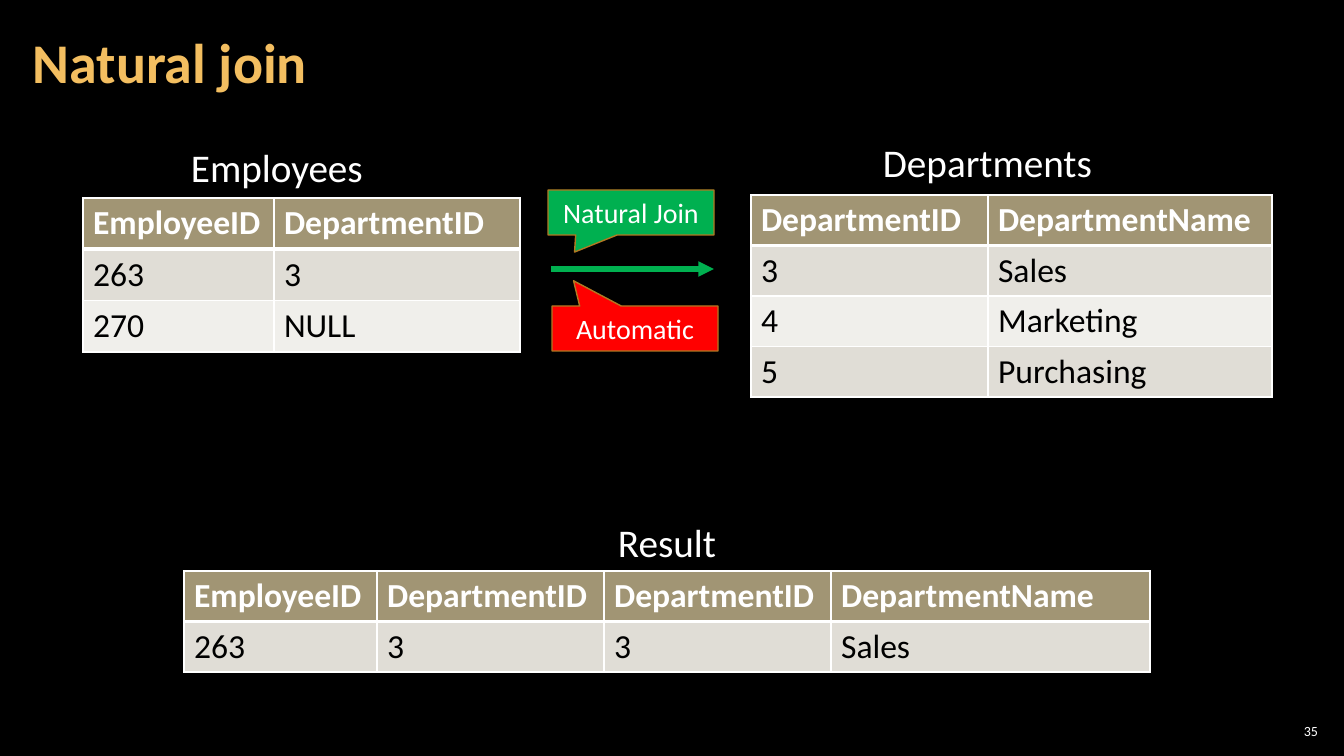
import pptx
import pptx.dml.color
import pptx.enum.shapes
import pptx.enum.text
import pptx.oxml
import pptx.oxml.ns
import pptx.util

RGB = pptx.dml.color.RGBColor
BLACK = RGB(0x00, 0x00, 0x00)
WHITE = RGB(0xFF, 0xFF, 0xFF)
GOLD = RGB(0xF3, 0xBE, 0x60)
HEADER = RGB(0xA1, 0x95, 0x74)
BANDS = (RGB(0xE0, 0xDD, 0xD6), RGB(0xF0, 0xEF, 0xEB))
GREEN = RGB(0x00, 0xB0, 0x50)
RED = RGB(0xFF, 0x00, 0x00)
BRONZE = RGB(0xB2, 0x78, 0x22)
FONT = "Calibri"
ALIGN = pptx.enum.text.PP_ALIGN
ANCHOR = pptx.enum.text.MSO_ANCHOR

TITLE = ("Natural join", (21, 4, 1055, 122))
PAGE_NUMBER = ("35", (1275, 720, 47, 21))
TABLES = [
    {"caption": "Employees", "caption_at": (181, 138, 194, 57),
     "at": (83, 198), "columns": (191, 246), "height": 154,
     "rows": [("EmployeeID", "DepartmentID"), ("263", "3"), ("270", "NULL")]},
    {"caption": "Departments", "caption_at": (873, 133, 232, 57),
     "at": (751, 195), "columns": (237, 284), "height": 202,
     "rows": [("DepartmentID", "DepartmentName"), ("3", "Sales"),
              ("4", "Marketing"), ("5", "Purchasing")]},
    {"caption": "Result", "caption_at": (608, 513, 120, 57),
     "at": (184, 571), "columns": (193, 227, 227, 319), "height": 101,
     "rows": [("EmployeeID", "DepartmentID", "DepartmentID", "DepartmentName"),
              ("263", "3", "3", "Sales")]},
]
CALLOUTS = [
    ("Natural Join", (548, 190, 166, 45), (-0.34, 0.88), GREEN),
    ("Automatic", (552, 306, 166, 45), (-0.37, -1.06), RED),
]
ARROW = (551, 269, 714, 269)


def px(length):
    return round(length * 914400 / 100.8)


def write(frame, text, size, color, bold=False, align=ALIGN.LEFT):
    para = frame.paragraphs[0]
    para.text = text
    para.alignment = align
    para.font.name = FONT
    para.font.size = pptx.util.Pt(size)
    para.font.bold = bold
    para.font.color.rgb = color
    return para


def add_label(page, text, place, size, color, bold=False, align=ALIGN.LEFT,
              wrap=False, anchor=ANCHOR.TOP, insets=(10, 5)):
    frame = page.shapes.add_textbox(*map(px, place)).text_frame
    frame.word_wrap = wrap
    frame.vertical_anchor = anchor
    frame.margin_left = frame.margin_right = px(insets[0])
    frame.margin_top = frame.margin_bottom = px(insets[1])
    return write(frame, text, size, color, bold, align)


def set_borders(cell, row_index):
    widths = {"L": 1, "R": 1, "T": 3 if row_index == 1 else 1,
              "B": 3 if row_index == 0 else 1}
    properties = cell._tc.get_or_add_tcPr()
    for position, (side, width) in enumerate(widths.items()):
        properties.insert(position, pptx.oxml.parse_xml(
            f'<a:ln{side} {pptx.oxml.ns.nsdecls("a")} w="{pptx.util.Pt(width)}">'
            f'<a:solidFill><a:srgbClr val="{WHITE}"/></a:solidFill></a:ln{side}>'))


def add_grid(page, content):
    rows, columns = content["rows"], content["columns"]
    place = (*content["at"], sum(columns), content["height"])
    table = page.shapes.add_table(len(rows), len(columns), *map(px, place)).table
    for column, width in zip(table.columns, columns):
        column.width = px(width)
    for row_index, values in enumerate(rows):
        is_header = row_index == 0
        table.rows[row_index].height = px(content["height"] / len(rows))
        for column_index, value in enumerate(values):
            cell = table.cell(row_index, column_index)
            cell.fill.solid()
            cell.fill.fore_color.rgb = HEADER if is_header else BANDS[(row_index - 1) % 2]
            set_borders(cell, row_index)
            write(cell.text_frame, value, 24, WHITE if is_header else BLACK, is_header)


def add_callout(page, text, place, tip, fill):
    shape = page.shapes.add_shape(
        pptx.enum.shapes.MSO_SHAPE.RECTANGULAR_CALLOUT, *map(px, place))
    shape.adjustments[0], shape.adjustments[1] = tip
    shape.shadow.inherit = False
    shape.fill.solid()
    shape.fill.fore_color.rgb = fill
    shape.line.color.rgb = BRONZE
    shape.line.width = pptx.util.Pt(1)
    shape.text_frame.word_wrap = True
    shape.text_frame.vertical_anchor = ANCHOR.MIDDLE
    write(shape.text_frame, text, 20, WHITE, align=ALIGN.CENTER)


def add_arrow(page, ends):
    arrow = page.shapes.add_connector(
        pptx.enum.shapes.MSO_CONNECTOR.STRAIGHT, *map(px, ends))
    arrow.line.color.rgb = GREEN
    arrow.line.width = pptx.util.Pt(3.75)
    namespace = pptx.oxml.ns.nsdecls("a")
    arrow.line._get_or_add_ln().append(
        pptx.oxml.parse_xml(f'<a:tailEnd {namespace} type="triangle"/>'))
    arrow._element.spPr.append(pptx.oxml.parse_xml(f"<a:effectLst {namespace}/>"))


def main():
    deck = pptx.Presentation()
    deck.slide_width, deck.slide_height = px(1344), px(756)
    page = deck.slides.add_slide(deck.slide_layouts[6])
    page.background.fill.solid()
    page.background.fill.fore_color.rgb = BLACK

    add_label(page, *PAGE_NUMBER, 10, WHITE, align=ALIGN.RIGHT, wrap=True,
              anchor=ANCHOR.MIDDLE, insets=(4, 4))
    title = add_label(page, *TITLE, 40, GOLD, bold=True, wrap=True,
                      anchor=ANCHOR.MIDDLE, insets=(12, 4))
    title.line_spacing = 0.9
    for content in TABLES:
        add_grid(page, content)
        add_label(page, content["caption"], content["caption_at"], 28, WHITE)
    add_arrow(page, ARROW)
    for callout in CALLOUTS:
        add_callout(page, *callout)
    deck.save("out.pptx")


if __name__ == "__main__":
    main()
